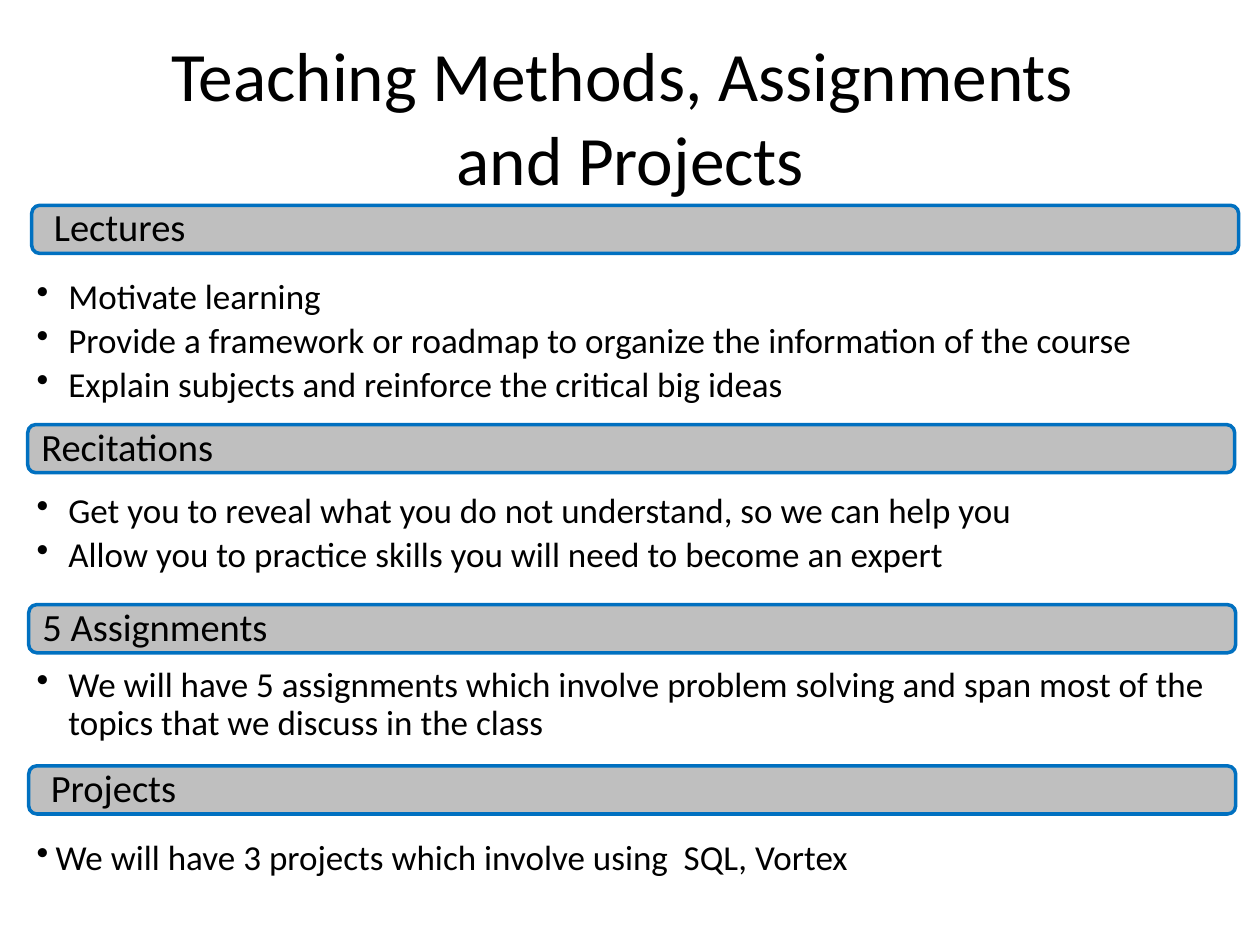
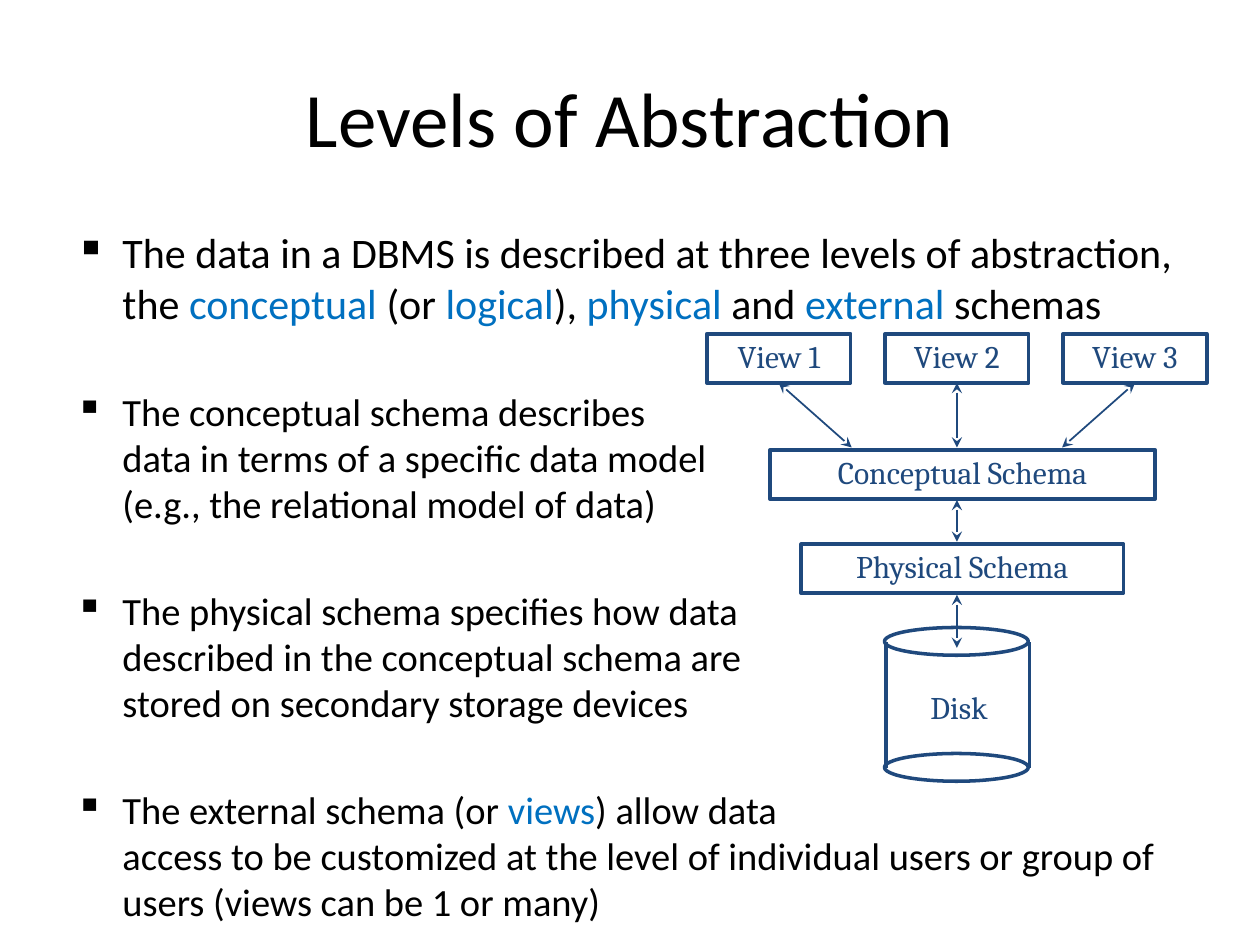
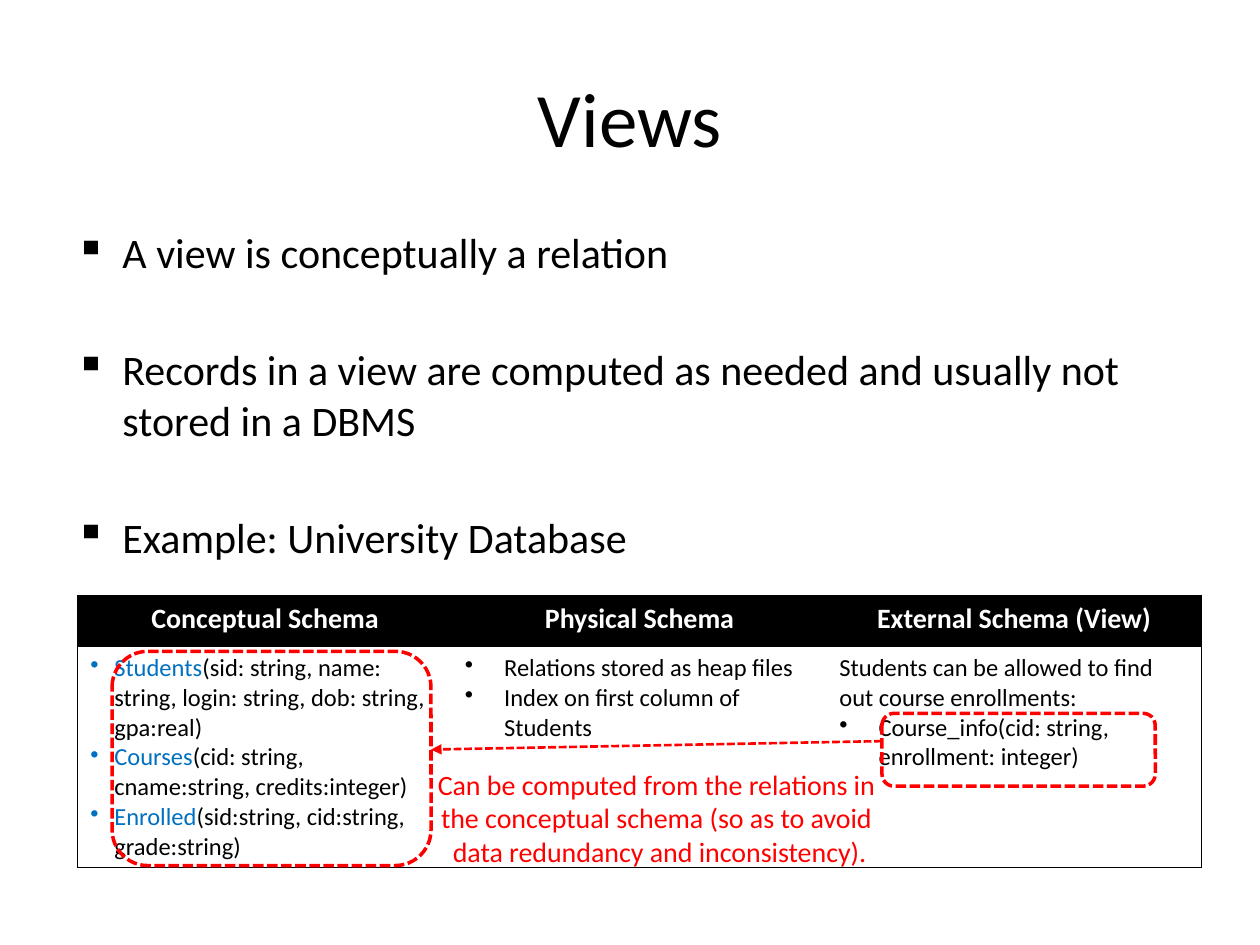
from copy import deepcopy

from lxml.etree import SubElement
from pptx import Presentation
from pptx.dml.color import RGBColor
from pptx.enum.dml import MSO_LINE
from pptx.enum.shapes import MSO_CONNECTOR, MSO_SHAPE
from pptx.enum.text import MSO_ANCHOR, PP_ALIGN
from pptx.oxml.ns import qn
from pptx.util import Cm, Pt

BLACK = RGBColor(0x00, 0x00, 0x00)
WHITE = RGBColor(0xFF, 0xFF, 0xFF)
BLUE = RGBColor(0x00, 0x70, 0xC0)
NAVY = RGBColor(0x1F, 0x49, 0x7D)
RED = RGBColor(0xFF, 0x00, 0x00)
GRAY = RGBColor(0xBF, 0xBF, 0xBF)

BULLETS = "•▪"
ACCENT_MARK = "*"
TITLE_BOX = (1.27, 0.76, 22.86, 3.18)
TALL_TITLE_BOX = (0.43, 0.86, 24.56, 2.95)
BODY_BOX = (1.27, 4.45, 22.86, 14.17)

METHODS_TITLE = "Teaching Methods, Assignments \nand Projects"
BAND_SIZE = (24.33, 0.97)
POINTS_LEFT, POINTS_WIDTH, POINT_HEIGHT = 0.74, 23.98, 0.9
METHODS = [
    {"heading": "Lectures", "left": 0.64, "top": 4.14, "padding": 0.4,
     "points_top": 5.64, "indent": 0.64,
     "points": ["•Motivate learning",
                "•Provide a framework or roadmap to organize the information of the course",
                "•Explain subjects and reinforce the critical big ideas"]},
    {"heading": "Recitations", "left": 0.56, "top": 8.56, "padding": 0.23,
     "points_top": 9.94, "indent": 0.64,
     "points": ["•Get you to reveal what you do not understand, so we can help you",
                "•Allow you to practice skills you will need to become an expert"]},
    {"heading": "5 Assignments", "left": 0.58, "top": 12.19, "padding": 0.23,
     "points_top": 13.46, "indent": 0.64,
     "points": ["•We will have 5 assignments which involve problem solving and span "
                "most of the topics that we discuss in the class"]},
    {"heading": "Projects", "left": 0.58, "top": 15.44, "padding": 0.4,
     "points_top": 16.94, "indent": 0.38,
     "points": ["•We will have 3 projects which involve using  SQL, Vortex"]},
]

LEVELS_TITLE = "Levels of Abstraction"
LEVELS = [
    "▪The data in a DBMS is described at three levels of abstraction, the "
    "*conceptual *(or* logical*), *physical* and *external* schemas",
    "▪The conceptual schema describes\ndata in terms of a specific data model \n"
    "(e.g., the relational model of data)",
    "▪The physical schema specifies how data\ndescribed in the conceptual schema are\n"
    "stored on secondary storage devices",
    "▪The external schema (or *views*) allow data\naccess to be customized at the level "
    "of individual users or group of users (views can be 1 or many)",
]
VIEWS = ["View 1", "View 2", "View 3"]
VIEW_LEFT, VIEW_TOP, VIEW_STEP = 14.25, 6.73, 3.59
VIEW_WIDTH, BOX_HEIGHT = 2.9, 0.99
SCHEMAS = [("Conceptual Schema", 15.52, 9.07, 7.77),
           ("Physical Schema", 16.15, 10.97, 6.5)]
ARROW_SPREAD = 2.12
SCHEMA_ARROWS = [(10.08, 10.92), (11.99, 13.06)]
DISK_LEFT, DISK_RIM_HEIGHT = 17.83, 0.56
DISK_RIM_TOPS = (12.65, 15.19)
DISK_SIDES = (17.86, 20.75)
DISK_SIDE_SPAN = (12.95, 15.49)

VIEWS_TITLE = "Views"
VIEW_FACTS = [
    "▪A view is conceptually a relation",
    "▪Records in a view are computed as needed and usually not stored in a DBMS",
    "▪Example: University Database",
]
TABLE_BOX = (1.57, 12.01, 22.65, 5.48)
ROW_HEIGHTS = (1.03, 4.45)
UNIVERSITY = [
    ("Conceptual Schema", 0.48, [
        "•*Students*(sid: string, name: string, login: string, dob: string, gpa:real)",
        "•*Courses*(cid: string, cname:string, credits:integer)",
        "•*Enrolled*(sid:string, cid:string, grade:string)"]),
    ("Physical Schema", 0.79, [
        "•Relations stored as heap files",
        "•Index on first column of Students"]),
    ("External Schema (View)", 0.79, [
        "Students can be allowed to find out course enrollments:",
        "•Course_info(cid: string, enrollment: integer)"]),
]
HIGHLIGHTS = [(17.78, 14.38, 5.51, 1.47), (2.26, 13.13, 6.43, 4.32)]
HIGHLIGHT_ARROW = (17.78, 14.94, 8.69, 15.11)
NOTE_BOX = (8.51, 15.34, 9.58, 2.31)
NOTE = ("Can be computed from the relations in \nthe conceptual schema "
        "(so as to avoid \ndata redundancy and inconsistency).")


def lengths(values):
    return [Cm(value) for value in values]


def write(frame, text, size=20, color=BLACK, font="Calibri", bold=False, indent=0,
          align=PP_ALIGN.LEFT, anchor=MSO_ANCHOR.TOP, wrap=True, gap=0,
          line_spacing=None, insets=None):
    frame.word_wrap = wrap
    frame.vertical_anchor = anchor
    if insets:
        (frame.margin_left, frame.margin_top,
         frame.margin_right, frame.margin_bottom) = lengths(insets)
    items = [text] if isinstance(text, str) else text
    sizes = size if isinstance(size, list) else [size] * len(items)
    for index, (item, points) in enumerate(zip(items, sizes)):
        paragraph = frame.add_paragraph() if index else frame.paragraphs[0]
        paragraph.alignment = align
        if line_spacing:
            paragraph.line_spacing = line_spacing
        if index and gap:
            paragraph.space_before = Pt(gap)
        if item[0] in BULLETS:
            properties = paragraph._p.get_or_add_pPr()
            properties.set("marL", str(Cm(indent)))
            properties.set("indent", str(-Cm(indent)))
            SubElement(properties, qn("a:buChar"), char=item[0])
            item = item[1:]
        for part_index, part in enumerate(item.split(ACCENT_MARK)):
            for line_index, line in enumerate(part.split("\n")):
                if line_index:
                    paragraph.add_line_break()
                if not line:
                    continue
                run = paragraph.add_run()
                run.text = line
                run.font.name = font
                run.font.size = Pt(points)
                run.font.bold = bold
                run.font.color.rgb = BLUE if part_index % 2 else color
        for line_break in paragraph._p.findall(qn("a:br")):
            line_break.append(deepcopy(run._r.rPr))


def add_text(slide, box, text, **style):
    shape = slide.shapes.add_textbox(*lengths(box))
    write(shape.text_frame, text, **style)


def add_title(slide, text, box=TITLE_BOX, size=44):
    add_text(slide, box, text, size=size, align=PP_ALIGN.CENTER,
             anchor=MSO_ANCHOR.MIDDLE)


def add_outline(slide, kind, box, color, fill=None, dash=None):
    shape = slide.shapes.add_shape(kind, *lengths(box))
    shape.shadow.inherit = False
    if fill is None:
        shape.fill.background()
    else:
        shape.fill.solid()
        shape.fill.fore_color.rgb = fill
    shape.line.color.rgb = color
    shape.line.width = Pt(2)
    if dash:
        shape.line.dash_style = dash
    return shape


def add_line(slide, ends, color, width, head=None, tail=None, dash=None):
    connector = slide.shapes.add_connector(MSO_CONNECTOR.STRAIGHT, *lengths(ends))
    connector.line.color.rgb = color
    connector.line.width = Pt(width)
    if dash:
        connector.line.dash_style = dash
    line = connector.line._get_or_add_ln()
    for tag, arrow in (("a:headEnd", head), ("a:tailEnd", tail)):
        if arrow:
            SubElement(line, qn(tag), type=arrow)
    SubElement(connector._element.spPr, qn("a:effectLst"))
    return connector


def add_labelled_box(slide, text, box):
    shape = add_outline(slide, MSO_SHAPE.RECTANGLE, box, NAVY)
    write(shape.text_frame, text, size=18, color=NAVY, font="Cambria", wrap=False,
          align=PP_ALIGN.CENTER, anchor=MSO_ANCHOR.MIDDLE, insets=(0, 0, 0, 0.1))
    return shape


def set_borders(cell, visible_sides):
    properties = cell._tc.get_or_add_tcPr()
    for index, side in enumerate("LRTB"):
        line = SubElement(properties, qn(f"a:ln{side}"), w=str(Pt(0.75)))
        if side in visible_sides:
            fill = SubElement(line, qn("a:solidFill"))
            SubElement(fill, qn("a:srgbClr"), val=str(BLACK))
        else:
            SubElement(line, qn("a:noFill"))
        properties.insert(index, line)


def build_methods(slide):
    add_title(slide, METHODS_TITLE, TALL_TITLE_BOX, 39.6)
    for method in METHODS:
        band = add_outline(slide, MSO_SHAPE.ROUNDED_RECTANGLE,
                           (method["left"], method["top"], *BAND_SIZE), BLUE, GRAY)
        write(band.text_frame, method["heading"], size=22, line_spacing=0.9,
              anchor=MSO_ANCHOR.MIDDLE, insets=(method["padding"], 0.23, 0.23, 0.23))
        height = POINT_HEIGHT * max(2, len(method["points"]))
        add_text(slide, (POINTS_LEFT, method["points_top"], POINTS_WIDTH, height),
                 method["points"], indent=method["indent"], gap=3.5,
                 line_spacing=0.9, insets=(0, 0, 0, 0))


def build_levels(slide):
    add_title(slide, LEVELS_TITLE)
    add_text(slide, BODY_BOX, LEVELS, size=[24, 22, 22, 22], indent=0.95, gap=34.5)

    for text, left, top, width in SCHEMAS:
        add_labelled_box(slide, text, (left, top, width, BOX_HEIGHT))
    center = VIEW_LEFT + VIEW_STEP + VIEW_WIDTH / 2
    arrow = {"color": NAVY, "width": 1, "head": "stealth", "tail": "stealth"}
    for index, text in enumerate(VIEWS):
        left = VIEW_LEFT + index * VIEW_STEP
        view = add_labelled_box(slide, text, (left, VIEW_TOP, VIEW_WIDTH, BOX_HEIGHT))
        end = center + (index - 1) * ARROW_SPREAD
        connector = add_line(slide, (left + VIEW_WIDTH / 2, VIEW_TOP + BOX_HEIGHT,
                                     end, 9.02), **arrow)
        connector.begin_connect(view, 2)

    for top in DISK_RIM_TOPS:
        add_outline(slide, MSO_SHAPE.OVAL,
                    (DISK_LEFT, top, VIEW_WIDTH, DISK_RIM_HEIGHT), NAVY)
    side_top, side_bottom = DISK_SIDE_SPAN
    for side in DISK_SIDES:
        add_line(slide, (side, side_top, side, side_bottom), NAVY, 2)
    for top, bottom in SCHEMA_ARROWS:
        add_line(slide, (center, top, center, bottom), **arrow)
    add_text(slide, (18.42, 13.74, 1.83, 1.02), "Disk", size=18, color=NAVY,
             font="Cambria", align=PP_ALIGN.CENTER, wrap=False)


def build_views(slide):
    add_title(slide, VIEWS_TITLE)
    add_text(slide, BODY_BOX, VIEW_FACTS, size=24, indent=0.95, gap=38)

    table = slide.shapes.add_table(2, len(UNIVERSITY), *lengths(TABLE_BOX)).table
    table.first_row = False
    table.horz_banding = False
    for row, height in zip(table.rows, ROW_HEIGHTS):
        row.height = Cm(height)
    for column, (heading, indent, details) in enumerate(UNIVERSITY):
        header, body = table.cell(0, column), table.cell(1, column)
        header.fill.solid()
        header.fill.fore_color.rgb = BLACK
        body.fill.background()
        write(header.text_frame, heading, size=16, color=WHITE, bold=True,
              align=PP_ALIGN.CENTER)
        write(body.text_frame, details, size=14, indent=indent)
        outer = {0: "L", len(UNIVERSITY) - 1: "R"}.get(column, "")
        set_borders(header, "TB" + outer)
        set_borders(body, "TB" + outer)

    for box in HIGHLIGHTS:
        add_outline(slide, MSO_SHAPE.ROUNDED_RECTANGLE, box, RED,
                    dash=MSO_LINE.SQUARE_DOT)
    add_line(slide, HIGHLIGHT_ARROW, RED, 1.5, tail="triangle",
             dash=MSO_LINE.SQUARE_DOT)
    add_text(slide, NOTE_BOX, NOTE, size=16, color=RED, align=PP_ALIGN.CENTER,
             wrap=False)


def main():
    presentation = Presentation()
    presentation.slide_width = Cm(25.4)
    presentation.slide_height = Cm(19.05)
    for build in (build_methods, build_levels, build_views):
        build(presentation.slides.add_slide(presentation.slide_layouts[6]))
    presentation.save("out.pptx")


if __name__ == "__main__":
    main()
